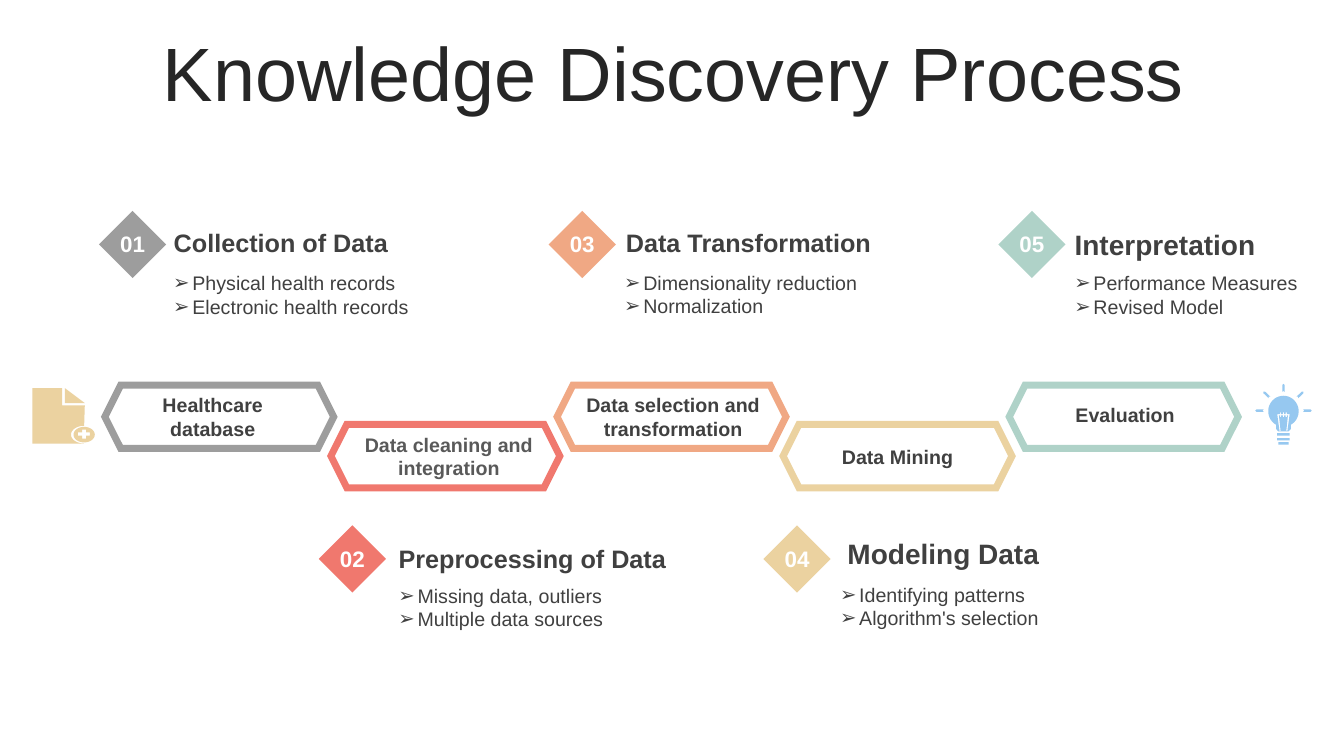
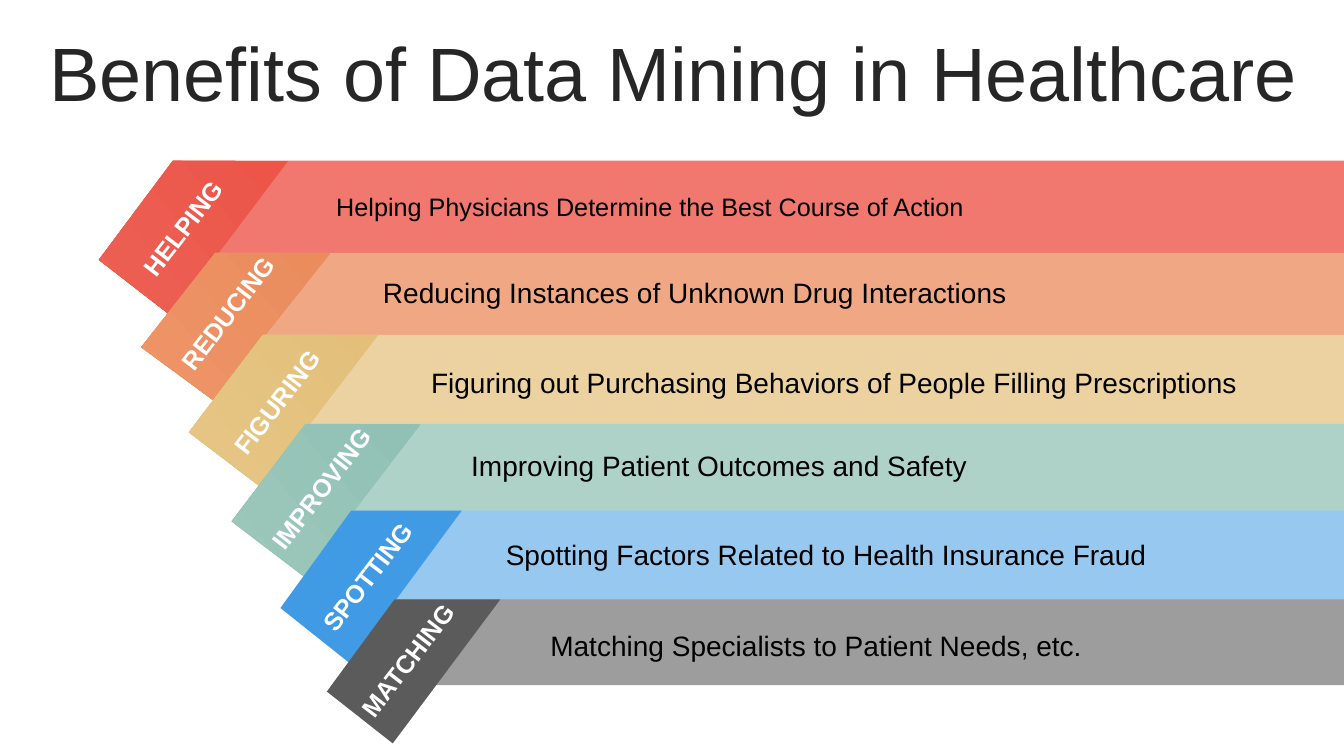
from dataclasses import dataclass
from math import cos, radians, sin

from lxml import etree
from pptx import Presentation
from pptx.dml.color import RGBColor
from pptx.enum.shapes import MSO_SHAPE
from pptx.enum.text import MSO_ANCHOR, PP_ALIGN
from pptx.oxml.ns import qn
from pptx.util import Emu, Inches, Pt

COLUMNS, ROWS = 160, 90
WIDTH, HEIGHT = Inches(13.33), Inches(7.5)
CELL = HEIGHT / ROWS

FONT = "Arial"
WHITE, BLACK, INK, TITLE_INK = "FFFFFF", "000000", "404040", "262626"
GRAY, RED, ORANGE = "9D9D9D", "F0786E", "F0A884"
SAND, MINT, BLUE = "EBD2A0", "AFD2C8", "96C8F0"


@dataclass
class Stage:
    number: str
    color: str
    step: str
    step_row: float
    step_width: float
    step_shift: tuple
    diamond: tuple
    heading: str
    heading_offset: tuple
    heading_size: int
    points: list
    points_offset: tuple
    step_ink: str = INK


@dataclass
class Ribbon:
    color: str
    tab_colors: tuple
    left: float
    top: float
    tab_width: float
    height: float
    label: str
    label_center: tuple
    caption: str
    caption_at: tuple
    caption_size: int = 20


STAGES = [
    Stage("01", GRAY, "Healthcare database", 45.84, 15.4, (-0.78, 0), (15.78, 29.1),
          "Collection of Data", (3.72, -2.6), 18,
          ["Physical health records", "Electronic health records"], (3.66, 2.58)),
    Stage("02", RED, "Data cleaning and integration", 50.52, 22.6, (0.42, 0), (41.94, 66.54),
          "Preprocessing of Data", (4.32, -2.46), 18,
          ["Missing data, outliers", "Multiple data sources"], (4.3, 2.34), "595959"),
    Stage("03", ORANGE, "Data selection and transformation", 45.84, 23.9, (0.2, 0), (69.3, 29.1),
          "Data Transformation", (4.02, -2.58), 18,
          ["Dimensionality reduction", "Normalization"], (3.8, 2.52)),
    Stage("04", SAND, "Data Mining", 50.52, 18.5, (0, 0.1), (94.86, 66.54),
          "Modeling Data", (4.82, -3.3), 20,
          ["Identifying patterns", "Algorithm's selection"], (3.94, 2.22)),
    Stage("05", MINT, "Evaluation", 45.84, 19.4, (0.18, -0.2), (122.82, 29.1),
          "Interpretation", (3.9, -2.58), 20,
          ["Performance Measures", "Revised Model"], (3.86, 2.58)),
]

RIBBONS = [
    Ribbon(RED, ("EC5548", "ED6055"), 11.76, 19.14, 22.56, 10.98, "HELPING", (21.7, 27.12),
           "Helping Physicians Determine the Best Course of Action", (38.84, 22.18), 18),
    Ribbon(ORANGE, ("EB8C5C", "ED9569"), 16.8, 30.12, 22.56, 10.44, "REDUCING", (27.04, 37.24),
           "Reducing Instances of Unknown Drug Interactions", (44.4, 32.2)),
    Ribbon(SAND, ("E3BF79", "E6C686"), 22.48, 39.86, 22.56, 10.8, "FIGURING", (32.9, 47.86),
           "Figuring out Purchasing Behaviors of People Filling Prescriptions", (50.12, 42.96)),
    Ribbon(MINT, ("91C1B4", "9BC7BA"), 27.56, 50.46, 22.56, 10.8, "IMPROVING", (38.16, 58.14),
           "Improving Patient Outcomes and Safety", (54.9, 52.8)),
    Ribbon(BLUE, ("419BE4",), 33.38, 60.78, 21.6, 10.8, "SPOTTING", (43.68, 68.64),
           "Spotting Factors Related to Health Insurance Fraud", (59.02, 63.4)),
    Ribbon(GRAY, ("5B5B5B",), 38.9, 71.36, 20.64, 10.2, "MATCHING", (48.48, 78.6),
           "Matching Specialists to Patient Needs, etc.", (64.32, 74.24)),
]


def rgb(color):
    return RGBColor.from_string(color)


def cells(*lengths):
    return [Emu(round(length * CELL)) for length in lengths]


def paint(shape, fill, line=None, weight=1):
    shape.shadow.inherit = False
    shape.fill.solid()
    shape.fill.fore_color.rgb = rgb(fill)
    if line:
        shape.line.color.rgb = rgb(line)
        shape.line.width = Pt(weight)
        outline = shape._element.spPr.find(qn("a:ln"))
        etree.SubElement(outline, qn("a:miter")).set("lim", "800000")
    else:
        shape.line.fill.background()
    return shape


def add_preset(slide, preset, box, **look):
    return paint(slide.shapes.add_shape(preset, *cells(*box)), **look)


def add_outline(slide, box, *contours, **look):
    x, y, w, h = box
    builder = None
    for contour in contours:
        corners = [cells(x + px * w, y + py * h) for px, py in contour]
        if builder:
            builder.move_to(*corners[0])
        else:
            builder = slide.shapes.build_freeform(*corners[0])
        builder.add_line_segments(corners[1:], close=True)
    return paint(builder.convert_to_shape(), **look)


def arc(center, radii, start, end, steps=32):
    angles = [radians(start + (end - start) * step / steps) for step in range(steps + 1)]
    return [(center[0] + radii[0] * cos(a), center[1] + radii[1] * sin(a)) for a in angles]


def bar(left, top, width, height):
    right, bottom = left + width, top + height
    return [(left, top), (right, top), (right, bottom), (left, bottom)]


def ray(angle):
    across, up = cos(radians(angle)), sin(radians(angle))
    return [(0.5 - far * across + side * up, 0.43 - 0.9 * far * up - side * across)
            for far, side in ((0.35, -0.02), (0.37, 0), (0.35, 0.02),
                              (0.48, 0.02), (0.5, 0), (0.48, -0.02))]


def add_bullet(paragraph):
    properties = paragraph._p.get_or_add_pPr()
    indent = Inches(0.19)
    properties.set("marL", str(indent))
    properties.set("indent", str(-indent))
    etree.SubElement(properties, qn("a:buFont")).set("typeface", FONT)
    etree.SubElement(properties, qn("a:buChar")).set("char", "➢")


def add_text(slide, box, lines, size=14, color=INK, bold=False, align=PP_ALIGN.LEFT,
             anchor=MSO_ANCHOR.TOP, turn=0, bullets=False, spacing=None, before=None):
    holder = slide.shapes.add_textbox(*cells(*box))
    holder.rotation = turn
    frame = holder.text_frame
    frame.word_wrap = True
    frame.vertical_anchor = anchor
    for index, line in enumerate([lines] if isinstance(lines, str) else lines):
        paragraph = frame.add_paragraph() if index else frame.paragraphs[0]
        paragraph.alignment = align
        if spacing:
            paragraph.line_spacing = spacing
        if before:
            paragraph.space_before = Pt(before)
        if bullets:
            add_bullet(paragraph)
        run = paragraph.add_run()
        run.text = line
        run.font.name = FONT
        run.font.size = Pt(size)
        run.font.bold = bold
        run.font.color.rgb = rgb(color)


def add_titled_slide(deck, title):
    slide = deck.slides.add_slide(deck.slide_layouts[6])
    slide.background.fill.solid()
    slide.background.fill.fore_color.rgb = rgb(WHITE)
    add_text(slide, (4.2, 4.44, 151.92, 9.48), title, size=54, color=TITLE_INK,
             align=PP_ALIGN.CENTER, anchor=MSO_ANCHOR.MIDDLE, spacing=0.9, before=10)
    return slide


def add_step(slide, box, stage):
    x, y, w, h = box
    dx, dy = stage.step_shift
    add_preset(slide, MSO_SHAPE.HEXAGON, box, fill=WHITE, line=stage.color, weight=5)
    add_text(slide, (x + (w - stage.step_width) / 2 + dx, y + dy, stage.step_width, h),
             stage.step, bold=True, color=stage.step_ink, align=PP_ALIGN.CENTER,
             anchor=MSO_ANCHOR.MIDDLE)


def add_stage_notes(slide, stage):
    x, y = stage.diamond
    side = 8
    add_preset(slide, MSO_SHAPE.DIAMOND, (x - side / 2, y - side / 2, side, side),
               fill=stage.color)
    add_text(slide, (x - 3, y - 2.32, 6, 4.44), stage.number, size=16, color=WHITE,
             bold=True, align=PP_ALIGN.CENTER, anchor=MSO_ANCHOR.MIDDLE)
    dx, dy = stage.heading_offset
    add_text(slide, (x + dx, y + dy, 36, 5), stage.heading,
             size=stage.heading_size, bold=True)
    dx, dy = stage.points_offset
    add_text(slide, (x + dx, y + dy, 32.4, 6.84), stage.points, bullets=True)


def add_document_icon(slide, box):
    badge = (0.83, 0.84)
    page = [(0, 0), (0.48, 0), (0.48, 0.31), (0.84, 0.31),
            *arc(badge, (0.21, 0.16), 270, 90), (0, 1)]
    fold = [(0.52, 0), (0.84, 0.27), (0.52, 0.27)]
    plus = [(0.8, 0.75), (0.86, 0.75), (0.86, 0.8), (0.92, 0.8), (0.92, 0.86), (0.86, 0.86),
            (0.86, 0.91), (0.8, 0.91), (0.8, 0.86), (0.73, 0.86), (0.73, 0.8), (0.8, 0.8)]
    add_outline(slide, box, page, fold, arc(badge, (0.17, 0.14), 0, 360), plus, fill=SAND)


def add_bulb_icon(slide, box):
    glass = [*arc((0.5, 0.44), (0.27, 0.26), 119, 421),
             (0.63, 0.74), (0.59, 0.78), (0.41, 0.78), (0.37, 0.74)]
    half = [(0.51, 0.46), (0.51, 0.49), (0.54, 0.49), (0.54, 0.46), (0.56, 0.46), (0.56, 0.49),
            (0.61, 0.49), (0.57, 0.77), (0.55, 0.77), (0.58, 0.51), (0.56, 0.51), (0.56, 0.54),
            (0.54, 0.54), (0.54, 0.51), (0.51, 0.51), (0.51, 0.54)]
    filament = half + [(1 - x, y) for x, y in reversed(half)]
    base = [bar(0.39, 0.81, 0.22, 0.04), bar(0.39, 0.89, 0.22, 0.04), bar(0.41, 0.96, 0.18, 0.04)]
    rays = [ray(angle) for angle in range(0, 181, 45)]
    add_outline(slide, box, glass, filament, *base, *rays, fill=BLUE)


def add_ribbon(slide, ribbon):
    tab = (ribbon.left, ribbon.top, ribbon.tab_width, ribbon.height * 1.68)
    bar_left = ribbon.left + 0.39 * ribbon.tab_width
    add_preset(slide, MSO_SHAPE.RECTANGLE,
               (bar_left, ribbon.top, COLUMNS - bar_left, ribbon.height), fill=ribbon.color)
    flag = add_outline(slide, tab, [(0, 0.64), (0.38, 1), (1, 0), (0.39, 0)],
                       fill=ribbon.tab_colors[0])
    if len(ribbon.tab_colors) > 1:
        flag.fill.gradient()
        flag.fill.gradient_angle = 220
        for stop, color in zip(flag.fill.gradient_stops, ribbon.tab_colors):
            stop.color.rgb = rgb(color)


def add_ribbon_text(slide, ribbon):
    x, y = ribbon.label_center
    add_text(slide, (x - 11.4, y - 2.4, 22.8, 4.8), ribbon.label, size=18, color=WHITE,
             bold=True, align=PP_ALIGN.CENTER, turn=307.5)
    left, top = ribbon.caption_at
    add_text(slide, (left, top, COLUMNS - left, 5.28), ribbon.caption,
             size=ribbon.caption_size, color=BLACK)


def build_process(deck):
    slide = add_titled_slide(deck, "Knowledge Discovery Process")
    for index, stage in enumerate(STAGES):
        add_step(slide, (12.48 + 26.91 * index, stage.step_row, 27.24, 7.56), stage)
        add_stage_notes(slide, stage)
    add_document_icon(slide, (3.84, 46.2, 7.44, 6.6))
    add_bulb_icon(slide, (149.4, 45.84, 6.72, 7.08))


def build_benefits(deck):
    slide = add_titled_slide(deck, "Benefits of Data Mining in Healthcare")
    for add_part in (add_ribbon, add_ribbon_text):
        for ribbon in RIBBONS:
            add_part(slide, ribbon)


def main():
    deck = Presentation()
    deck.slide_width, deck.slide_height = WIDTH, HEIGHT
    build_process(deck)
    build_benefits(deck)
    deck.save("out.pptx")


if __name__ == "__main__":
    main()
